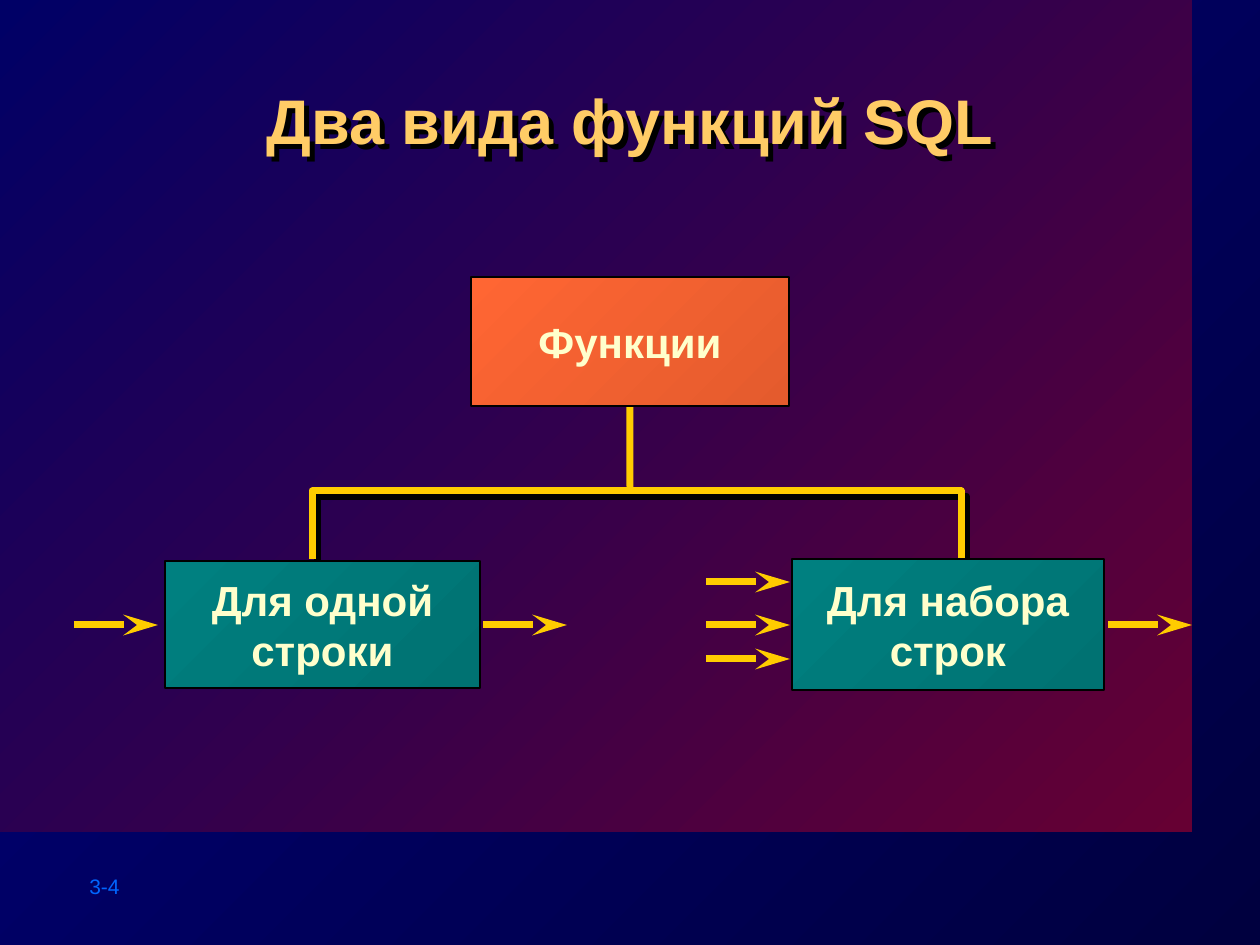
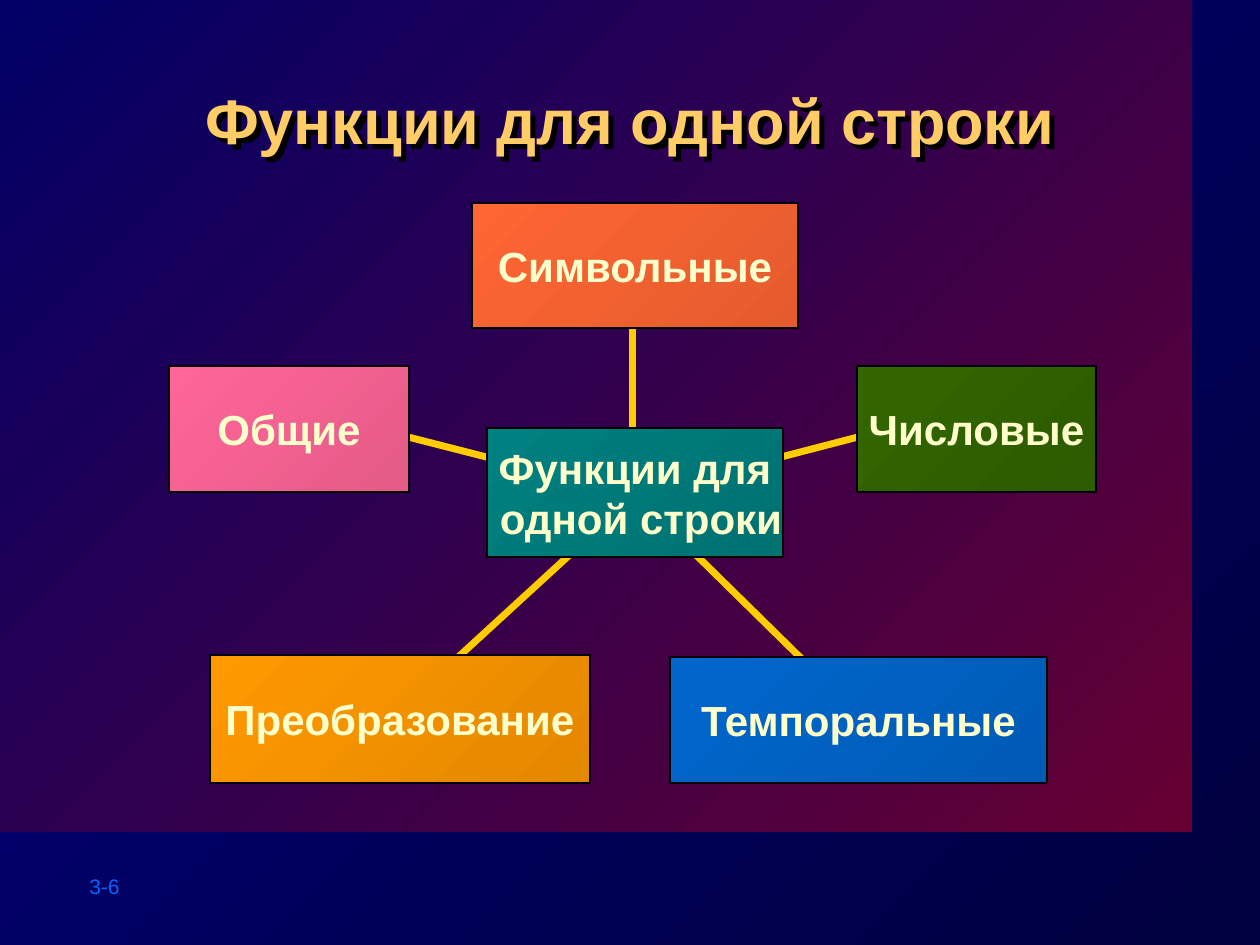
from lxml import etree
from pptx import Presentation
from pptx.dml.color import RGBColor
from pptx.enum.shapes import MSO_CONNECTOR, MSO_SHAPE
from pptx.enum.text import MSO_ANCHOR, PP_ALIGN
from pptx.oxml.ns import qn
from pptx.util import Pt

EMU_PER_PX = 914400 / 126
SLIDE_WIDTH, SLIDE_HEIGHT = 1260, 945
FONT = "Arial"

BACKGROUND = ("00003F", "000080")
PANEL = ("660033", "000066")
ORANGE = ("E45B2D", "FF6633")
TEAL = ("007272", "008080")
AMBER = ("E48800", "FF9900")
GREEN = ("2D5B00", "336600")
BLUE = ("005BB6", "0066CC")
PINK = ("E45B88", "FF6699")
TITLE_COLOR, LABEL_COLOR, PAGE_COLOR = "FFCC66", "FFFFCC", "0066FF"
LINE_COLOR, BORDER_COLOR = "FFCC00", "000000"


def px(value):
    return round(value * EMU_PER_PX)


def color(hex_string):
    return RGBColor.from_string(hex_string)


def set_gradient(fill, colors):
    """Run the two colours from the bottom right to the top left."""
    fill.gradient()
    fill.gradient_angle = 135
    for stop, hex_string in zip(fill.gradient_stops, colors):
        stop.color.rgb = color(hex_string)


def style_line(line, hex_string, width):
    line.color.rgb = color(hex_string)
    line.width = Pt(width)


def add_effects(shape):
    return etree.SubElement(shape._element.spPr, qn("a:effectLst"))


def add_hard_shadow(shape):
    """Cast a sharp black shadow down and to the right."""
    shadow = etree.SubElement(add_effects(shape), qn("a:outerShdw"),
                              dist=str(Pt(4.2)), dir="2700000", algn="ctr", rotWithShape="0")
    etree.SubElement(shadow, qn("a:srgbClr"), val="000000")


def style_text(text_frame, size, hex_string, bold, alignment):
    for paragraph in text_frame.paragraphs:
        paragraph.alignment = alignment
        for run in paragraph.runs:
            run.font.name = FONT
            run.font.size = Pt(size)
            run.font.bold = bold
            run.font.color.rgb = color(hex_string)


def add_text(slide, text, left, top, width, height, size, hex_string, bold=False,
             alignment=PP_ALIGN.LEFT):
    text_box = slide.shapes.add_textbox(px(left), px(top), px(width), px(height))
    text_box.text_frame.word_wrap = True
    text_box.text_frame.text = text
    style_text(text_box.text_frame, size, hex_string, bold, alignment)
    return text_box


def add_gradient_rectangle(slide, colors, left, top, width, height):
    rectangle = slide.shapes.add_shape(MSO_SHAPE.RECTANGLE, px(left), px(top), px(width), px(height))
    rectangle.shadow.inherit = False
    set_gradient(rectangle.fill, colors)
    rectangle.line.fill.background()
    return rectangle


def add_box(slide, text, colors, left, top, width, height):
    box = add_gradient_rectangle(slide, colors, left, top, width, height)
    style_line(box.line, BORDER_COLOR, 1)
    box.text_frame.word_wrap = False
    box.text_frame.vertical_anchor = MSO_ANCHOR.MIDDLE
    box.text_frame.text = text
    style_text(box.text_frame, 24, LABEL_COLOR, True, PP_ALIGN.CENTER)
    return box


def add_line(slide, start_x, start_y, end_x, end_y):
    connector = slide.shapes.add_connector(MSO_CONNECTOR.STRAIGHT, px(start_x), px(start_y),
                                           px(end_x), px(end_y))
    style_line(connector.line, LINE_COLOR, 4)
    add_effects(connector)
    return connector


def add_arrow(slide, left, y):
    arrow = add_line(slide, left, y, left + 84, y)
    etree.SubElement(arrow.line._get_or_add_ln(), qn("a:tailEnd"), type="stealth", w="med", len="lg")


def add_branch(slide, points):
    builder = slide.shapes.build_freeform(*points[0], scale=EMU_PER_PX)
    builder.add_line_segments(points[1:], close=False)
    branch = builder.convert_to_shape()
    branch.fill.background()
    style_line(branch.line, LINE_COLOR, 4)
    add_hard_shadow(branch)


def add_base_slide(presentation, title, page):
    slide = presentation.slides.add_slide(presentation.slide_layouts[6])
    set_gradient(slide.background.fill, BACKGROUND)
    add_gradient_rectangle(slide, PANEL, 0, 0, 1192, 832)
    add_text(slide, page, 77, 867, 140, 38, 12, PAGE_COLOR)
    title_box = add_text(slide, title, 127, 75, 1006, 116, 36, TITLE_COLOR, True, PP_ALIGN.CENTER)
    add_hard_shadow(title_box)
    return slide


def build_function_kinds(presentation):
    slide = add_base_slide(presentation, "Два вида функций SQL", "3-4")
    trunk = add_line(slide, 630, 491, 630, 406)
    add_branch(slide, [(312, 559), (312, 491), (961, 491), (961, 564)])
    functions = add_box(slide, "Функции", ORANGE, 471, 277, 318, 129)
    trunk.end_connect(functions, 2)
    add_box(slide, "Для одной\nстроки", TEAL, 165, 561, 315, 127)
    add_box(slide, "Для набора\nстрок", TEAL, 792, 559, 312, 131)
    for left in (74, 483, 706, 1108):
        add_arrow(slide, left, 625)
    for y in (582, 659):
        add_arrow(slide, 706, y)


def build_single_row_functions(presentation):
    slide = add_base_slide(presentation, "Функции для одной строки", "3-6")
    add_line(slide, 633, 495, 633, 300)
    for end in ((365, 426), (912, 423), (394, 716), (866, 722)):
        add_line(slide, 635, 495, *end)
    add_box(slide, "Преобразование", AMBER, 210, 655, 380, 128)
    add_box(slide, "Символьные", ORANGE, 472, 203, 326, 125)
    add_box(slide, "Числовые", GREEN, 857, 366, 239, 126)
    add_box(slide, "Темпоральные", BLUE, 670, 657, 377, 126)
    add_box(slide, "Общие", PINK, 169, 366, 240, 126)
    hub = add_box(slide, "Функции для\nодной строки", TEAL, 487, 428, 296, 129)
    hub.text_frame.paragraphs[1]._p.get_or_add_pPr().set("marL", str(px(12)))


def main():
    presentation = Presentation()
    presentation.slide_width = px(SLIDE_WIDTH)
    presentation.slide_height = px(SLIDE_HEIGHT)
    build_function_kinds(presentation)
    build_single_row_functions(presentation)
    presentation.save("out.pptx")


if __name__ == "__main__":
    main()
